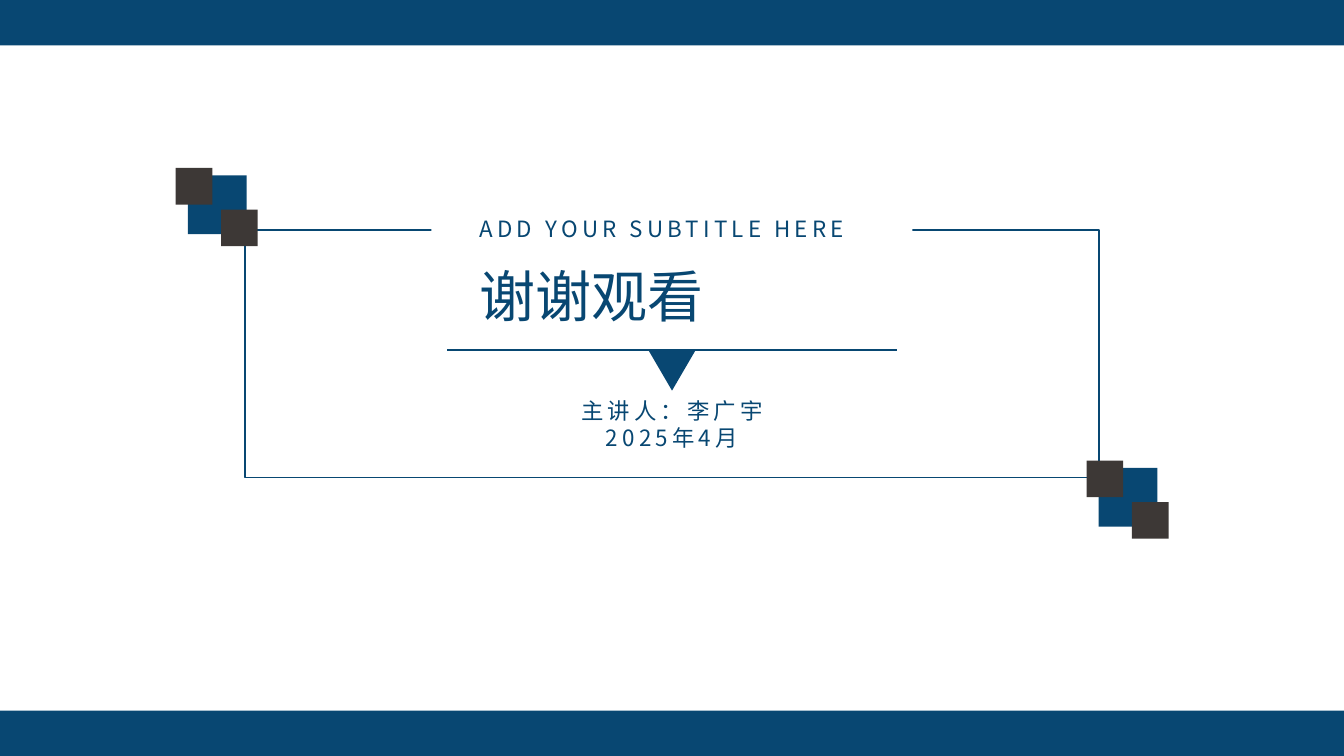
from lxml import etree
from pptx import Presentation, util as u
from pptx.dml.color import RGBColor
from pptx.enum import shapes, text
from pptx.oxml import ns

NAVY = RGBColor(0x08, 0x47, 0x72)
BROWN = RGBColor(0x3D, 0x38, 0x36)
WHITE = RGBColor(0xFF, 0xFF, 0xFF)
FONT = "Noto Sans CJK SC"
COLS, ROWS = 160, 90
CELL = u.Inches(7.5) / ROWS
BAR = 5.4
RECT = shapes.MSO_SHAPE.RECTANGLE


def grid(*cells):
    return [u.Emu(round(c * CELL)) for c in cells]


def add_block(s, box, fill=None, line=None, kind=RECT):
    sp = s.shapes.add_shape(kind, *grid(*box))
    sp.shadow.inherit = False
    if fill is None:
        sp.fill.background()
    else:
        sp.fill.solid()
        sp.fill.fore_color.rgb = fill
    if line is None:
        sp.line.fill.background()
    else:
        sp.line.color.rgb = line
        sp.line.width = u.Pt(1.25)
    return sp


def add_corner(s, x, y):
    add_block(s, (x, y, 7, 7), NAVY)
    for dx, dy in ((3.96, 4.08), (-1.44, -0.88)):
        add_block(s, (x + dx, y + dy, 4.36, 4.36), BROWN)


def add_rule(s, x1, x2, y):
    c = s.shapes.add_connector(shapes.MSO_CONNECTOR.STRAIGHT, *grid(x1, y, x2, y))
    c.line.color.rgb = NAVY
    c.line.width = u.Pt(1.5)
    etree.SubElement(c._element.spPr, ns.qn("a:effectLst"))


def add_text(s, box, lines, size, align, spacing=0):
    tf = s.shapes.add_textbox(*grid(*box)).text_frame
    tf.word_wrap = True
    tf.auto_size = text.MSO_AUTO_SIZE.SHAPE_TO_FIT_TEXT
    tf.text = "\n".join(lines)
    for p in tf.paragraphs:
        p.alignment = align
        for r in p.runs:
            r.font.size = u.Pt(size)
            r.font.name = FONT
            r.font.color.rgb = NAVY
            rPr = r.font._element
            etree.SubElement(rPr, ns.qn("a:ea")).set("typeface", FONT)
            if spacing:
                rPr.set("spc", str(spacing * 100))


def main():
    prs = Presentation()
    prs.slide_width, prs.slide_height = grid(COLS, ROWS)
    s = prs.slides.add_slide(prs.slide_layouts[6])

    for y in (0, ROWS - BAR):
        add_block(s, (0, y, COLS, BAR), NAVY)

    add_block(s, (29.2, 27.36, 101.6, 29.5), line=NAVY)
    add_corner(s, 22.36, 20.88)
    add_corner(s, 130.8, 55.7)
    add_block(s, (51.36, 23.88, 57.28, BAR), WHITE)

    align = text.PP_ALIGN
    add_text(s, (55.92, 30.6, 44.88, 9.24), ["谢谢观看"], 40, align.JUSTIFY)
    add_rule(s, 53.24, 106.76, 41.7)
    pointer = add_block(s, (77.2, 41.7, 5.6, 4.8), NAVY,
                        kind=shapes.MSO_SHAPE.ISOSCELES_TRIANGLE)
    pointer.rotation = 180
    add_text(s, (55.92, 25.08, 48.12, 4.44), ["ADD YOUR SUBTITLE HERE"],
             16, align.LEFT, 3)
    add_text(s, (63.2, 46.68, 33.6, 7.68), ["主讲人：李广宇", "2025年4月"],
             16, align.CENTER, 3)

    prs.save("out.pptx")


if __name__ == "__main__":
    main()
